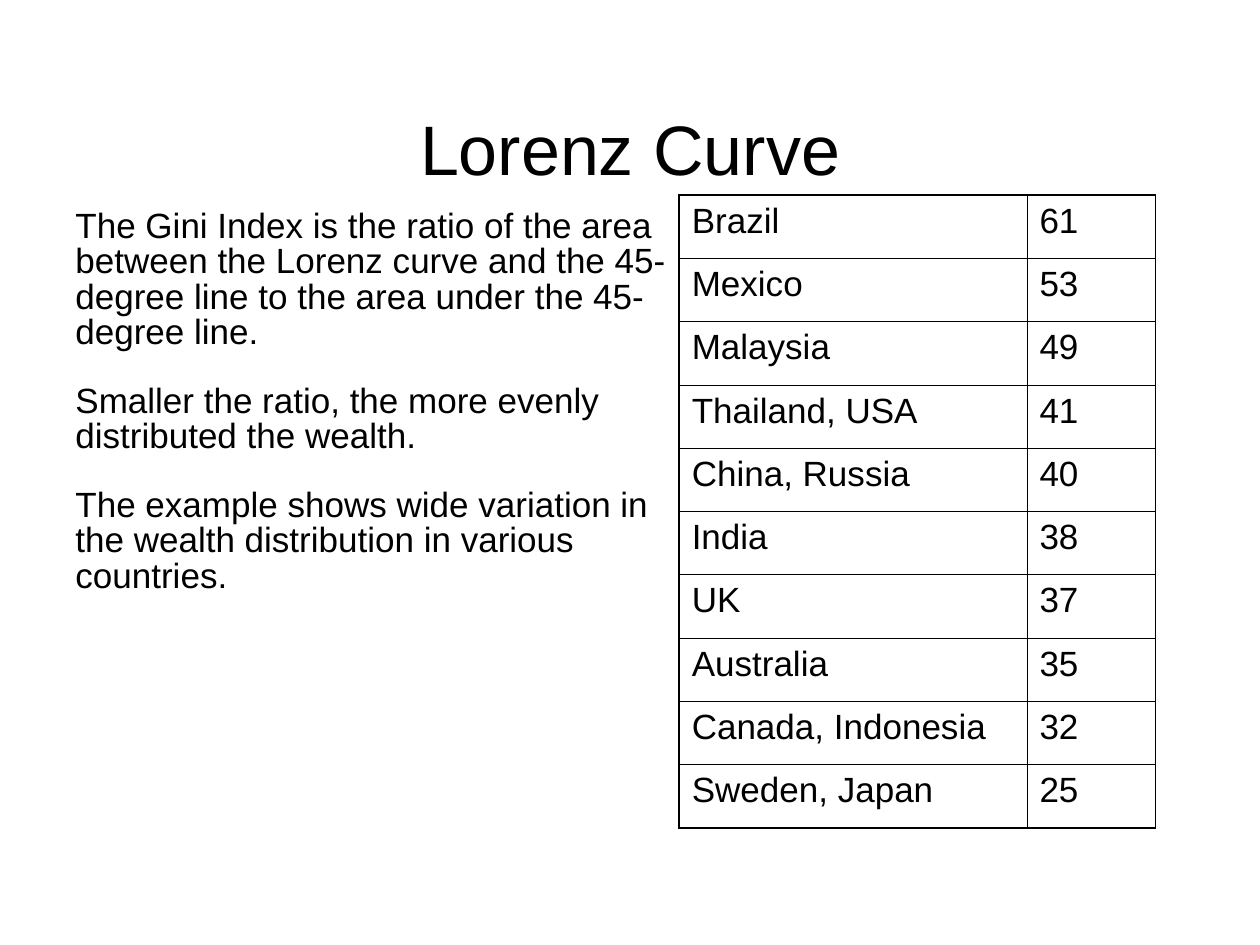
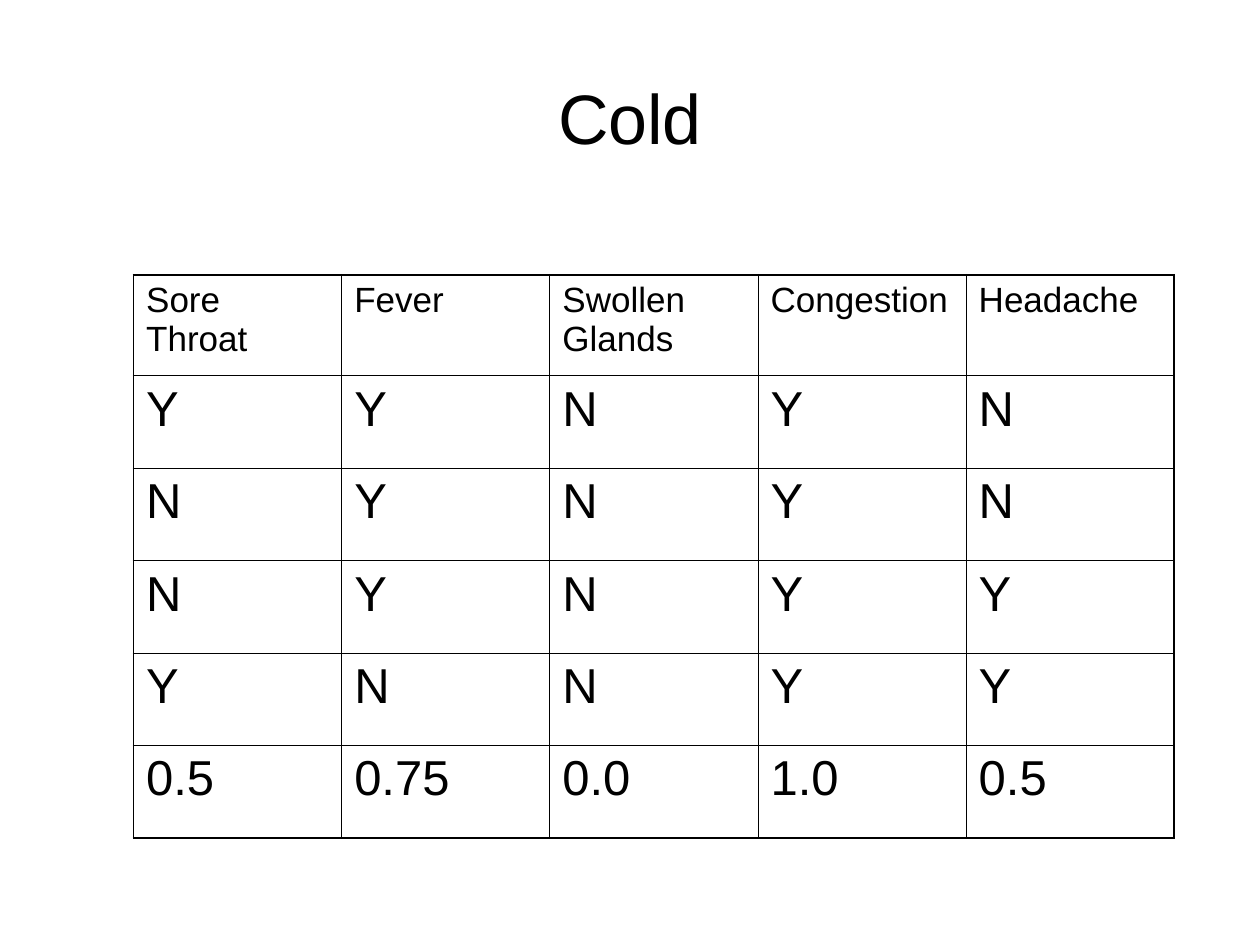
"""Build two slides: the Lorenz curve with Gini indexes, and a cold symptom table."""
from lxml import etree
from pptx import Presentation
from pptx.dml.color import RGBColor
from pptx.enum.text import MSO_ANCHOR, PP_ALIGN
from pptx.oxml.ns import qn
from pptx.util import Inches, Pt

BOTTOM, MIDDLE, TOP = MSO_ANCHOR.BOTTOM, MSO_ANCHOR.MIDDLE, MSO_ANCHOR.TOP
CENTER, LEFT = PP_ALIGN.CENTER, PP_ALIGN.LEFT
BLACK = RGBColor(0, 0, 0)
FONT = "Arial"
TITLE_SIZE, TEXT_SIZE, MARK_SIZE = 40, 20, 28
OUTER_LINE, INNER_LINE = 1.08, 0.45
TITLE_AREA = (0.5, 0.3, 9, 1.25)

GINI_NOTES = [
    "The Gini Index is the ratio of the area between the Lorenz curve and the "
    "45-degree line to the area under the 45-degree line.",
    "Smaller the ratio, the more evenly distributed the wealth.",
    "The example shows wide variation in the wealth distribution in various countries.",
]
GINI_BY_COUNTRY = [
    ("Brazil", "61"),
    ("Mexico", "53"),
    ("Malaysia", "49"),
    ("Thailand, USA", "41"),
    ("China, Russia", "40"),
    ("India", "38"),
    ("UK", "37"),
    ("Australia", "35"),
    ("Canada, Indonesia", "32"),
    ("Sweden, Japan", "25"),
]
COLD_SYMPTOMS = [
    ("Sore Throat", "Fever", "Swollen Glands", "Congestion", "Headache"),
    ("Y", "Y", "N", "Y", "N"),
    ("N", "Y", "N", "Y", "N"),
    ("N", "Y", "N", "Y", "Y"),
    ("Y", "N", "N", "Y", "Y"),
    ("0.5", "0.75", "0.0", "1.0", "0.5"),
]


def add_run(paragraph, text, size):
    run = paragraph.add_run()
    run.text = text
    run.font.name = FONT
    run.font.size = Pt(size)
    run.font.color.rgb = BLACK


def add_text(slide, area, texts, size, anchor=TOP, align=LEFT, line_spacing=1.0, gap=0):
    frame = slide.shapes.add_textbox(*map(Inches, area)).text_frame
    frame.word_wrap = True
    frame.vertical_anchor = anchor
    for index, text in enumerate(texts):
        paragraph = frame.add_paragraph() if index else frame.paragraphs[0]
        paragraph.alignment = align
        paragraph.line_spacing = line_spacing
        if index:
            paragraph.space_before = Pt(gap)
        add_run(paragraph, text, size)


def add_title(slide, title, anchor):
    add_text(slide, TITLE_AREA, [title], TITLE_SIZE, anchor, CENTER)


def draw_borders(cell, outer_sides):
    properties = cell._tc.get_or_add_tcPr()
    for side, is_outer in zip("LRTB", outer_sides):
        width = Pt(OUTER_LINE if is_outer else INNER_LINE)
        line = etree.SubElement(properties, qn(f"a:ln{side}"), w=str(int(width)))
        fill = etree.SubElement(line, qn("a:solidFill"))
        etree.SubElement(fill, qn("a:srgbClr"), val=str(BLACK))


def add_grid(slide, left, top, widths, heights, rows, row_sizes):
    area = (left, top, sum(widths), sum(heights))
    grid = slide.shapes.add_table(len(rows), len(widths), *map(Inches, area)).table
    grid.first_row = grid.horz_banding = False
    for column, width in zip(grid.columns, widths):
        column.width = Inches(width)
    for row, height in zip(grid.rows, heights):
        row.height = Inches(height)
    last_row, last_column = len(rows) - 1, len(widths) - 1
    for r, (row, size) in enumerate(zip(rows, row_sizes)):
        for c, text in enumerate(row):
            cell = grid.cell(r, c)
            draw_borders(cell, (c == 0, c == last_column, r == 0, r == last_row))
            cell.fill.background()
            add_run(cell.text_frame.paragraphs[0], text, size)


def add_lorenz_slide(slide):
    add_title(slide, "Lorenz Curve", BOTTOM)
    add_text(slide, (0.5, 1.62, 4.89, 5.36), GINI_NOTES, TEXT_SIZE,
             line_spacing=0.84, gap=19.3)
    count = len(GINI_BY_COUNTRY)
    add_grid(slide, 5.39, 1.55, [2.76, 1.02], [5.02 / count] * count,
             GINI_BY_COUNTRY, [TEXT_SIZE] * count)


def add_cold_slide(slide):
    add_title(slide, "Cold", MIDDLE)
    columns, marks = len(COLD_SYMPTOMS[0]), len(COLD_SYMPTOMS) - 1
    header_height = 0.8
    heights = [header_height] + [(4.47 - header_height) / marks] * marks
    add_grid(slide, 1.06, 2.18, [8.26 / columns] * columns, heights,
             COLD_SYMPTOMS, [TEXT_SIZE] + [MARK_SIZE] * marks)


def main():
    deck = Presentation()
    deck.slide_width, deck.slide_height = Inches(10), Inches(7.5)
    blank = deck.slide_layouts[6]
    for build in (add_lorenz_slide, add_cold_slide):
        build(deck.slides.add_slide(blank))
    deck.save("out.pptx")


if __name__ == "__main__":
    main()
